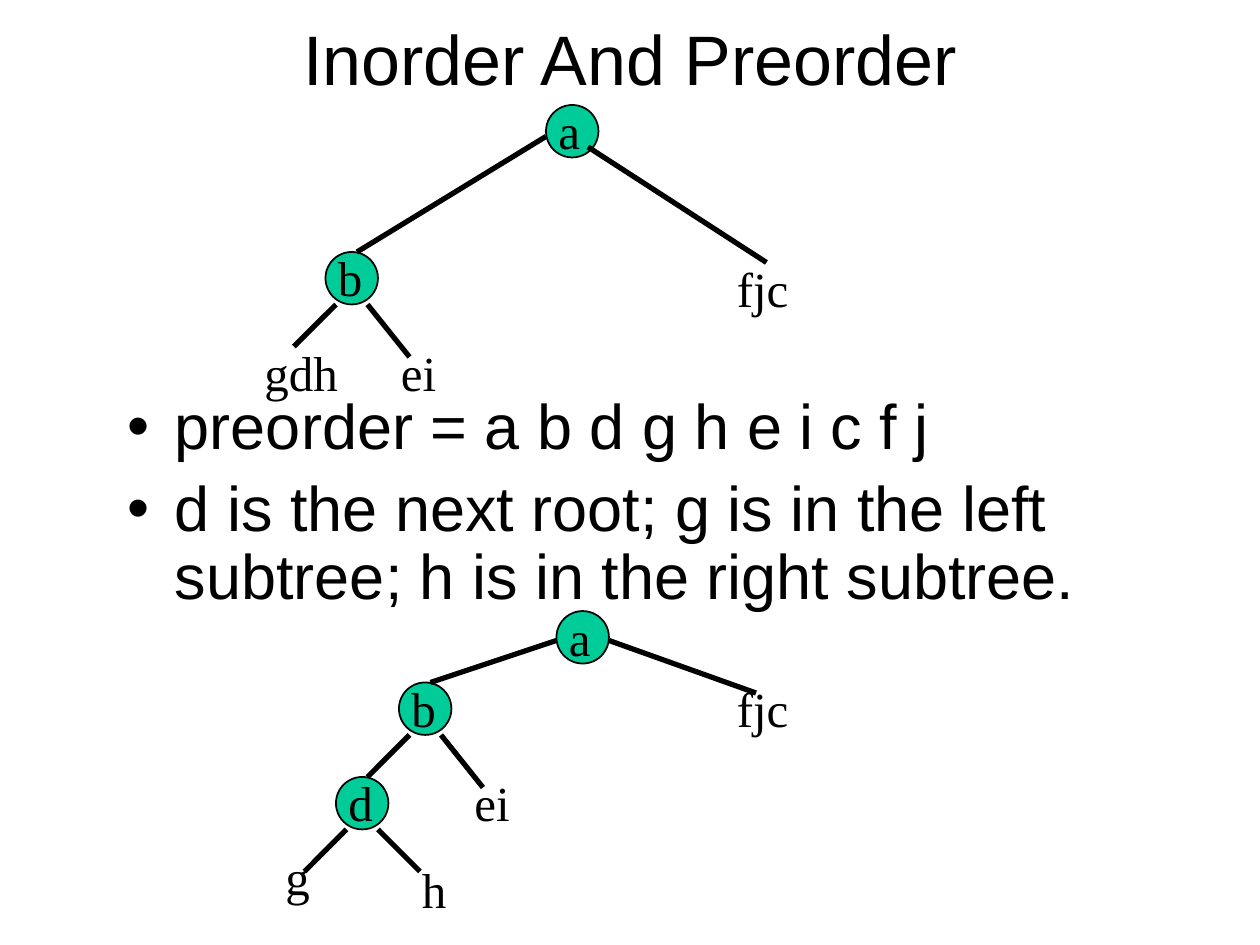
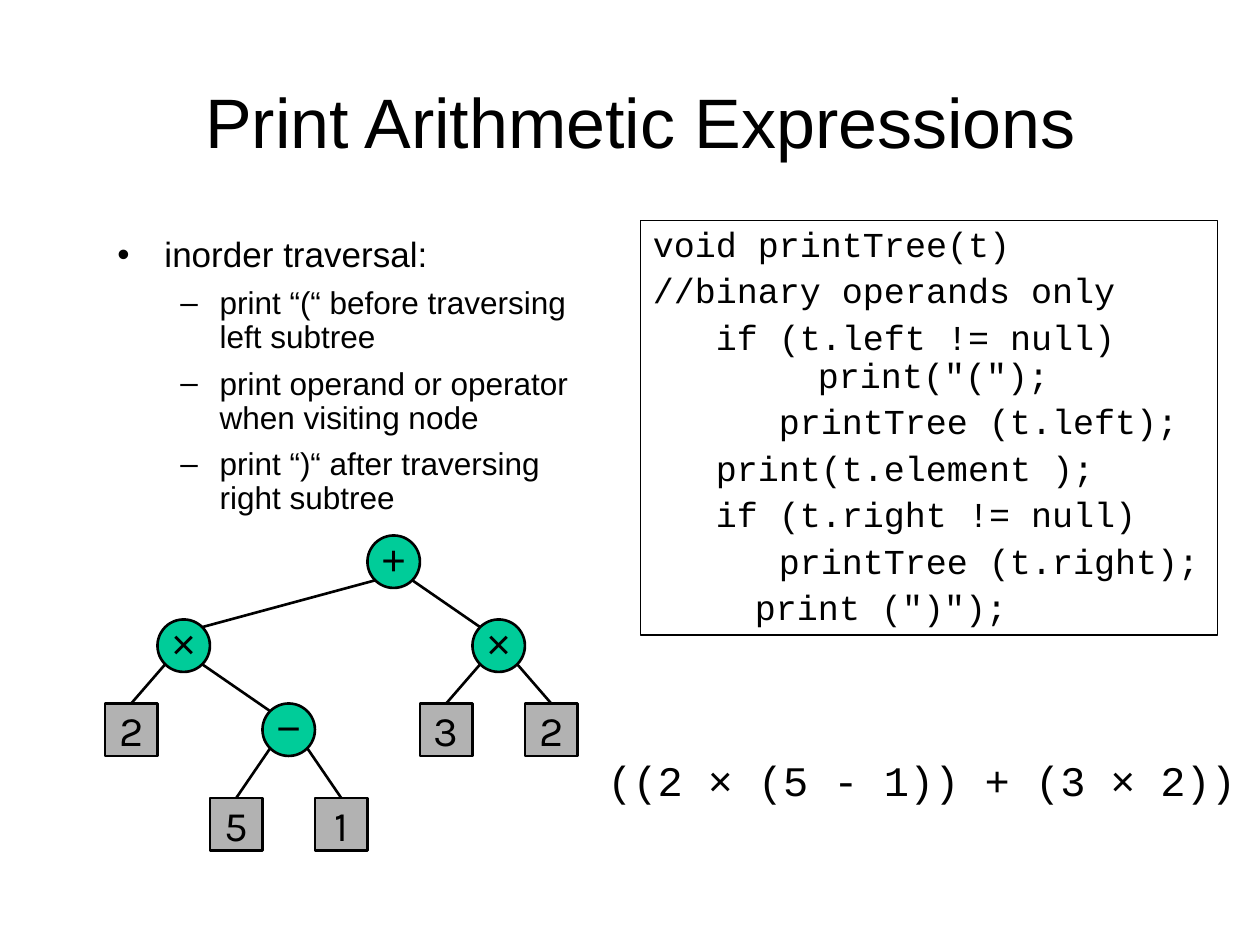
from lxml.etree import SubElement
from pptx import Presentation
from pptx.dml.color import RGBColor
from pptx.enum.shapes import MSO_CONNECTOR, MSO_SHAPE
from pptx.enum.text import MSO_ANCHOR, PP_ALIGN
from pptx.oxml.ns import qn
from pptx.util import Cm, Pt

COLORS = {"ink": "000000", "node": "00CC99", "leaf": "B2B2B2"}
SANS, SERIF, MONO, DIGIT = "Arial", "Times New Roman", "Courier New", "Karla"
GRID_CM = 2.54 / 12  # every tree sits on a grid of twelve steps to the inch
NODE_SIZE = 5
INSETS = (0.25, 0.13, 0.25, 0.13)

# Nodes and labels: text, column, row (and width for labels); edges: column, row, column, row
TRAVERSAL_TREES = [
    {
        "nodes": [("a", 52, 10), ("b", 31, 24)],
        "edges": [(52, 13, 34, 24), (56, 14, 73, 25), (32, 29, 28, 33), (35, 29, 39, 34)],
        "labels": [("gdh", 24, 32, 10), ("fjc", 69, 24, 17), ("ei", 37, 32, 8)],
    },
    {
        "nodes": [("a", 53, 58.2), ("b", 38, 65), ("d", 32, 74)],
        "edges": [(53, 61, 41, 65), (58, 61, 72, 66), (39, 70, 35, 74),
                  (42, 70, 46, 75), (33, 79, 29, 83), (36, 79, 40, 83)],
        "labels": [("g", 26, 80, 5), ("fjc", 69, 64, 17), ("ei", 44, 73, 8),
                   ("h", 39, 81.2, 6)],
    },
]
# Text and bullet level
TRAVERSAL_POINTS = [
    ("preorder = a b d g h e i c f j", 0),
    ("d is the next root; g is in the left subtree; h is in the right subtree.", 0),
]
PRINT_POINTS = [
    ("inorder traversal:", 0),
    ("print “(“ before traversing left subtree", 1),
    ("print operand or operator when visiting node", 1),
    ("print “)“ after traversing right subtree", 1),
]
# Lines of each code paragraph and indent level
CODE = [
    (["void printTree(t)"], 0),
    (["//binary operands only"], 0),
    (["if (t.left != null)", "\tprint(\"(\");"], 1),
    (["printTree (t.left);"], 2),
    (["print(t.element );"], 1),
    (["if (t.right != null)"], 1),
    (["printTree (t.right);"], 2),
    (["\tprint (\")\");"], 1),
]
# Name: text, column, row
OPERATORS = {
    "sum": ("+", 35, 51),
    "right product": ("×", 45, 59),
    "left product": ("×", 15, 59),
    "difference": ("−", 25, 67),
}
OPERANDS = {
    "factor 2": ("2", 10, 67),
    "five": ("5", 20, 76),
    "one": ("1", 30, 76),
    "three": ("3", 40, 67),
    "last 2": ("2", 50, 67),
}
CHILDREN = {
    "sum": ("left product", "right product"),
    "left product": ("factor 2", "difference"),
    "right product": ("three", "last 2"),
    "difference": ("five", "one"),
}
EXPRESSION = [("((2 ", MONO), ("×", SANS), (" (5 - 1)) + (3 ", MONO), ("×", SANS),
              (" 2))", MONO)]

BULLETS = [("•", 0.95, -0.95, 8), ("–", 2.06, -0.79, 7)]  # sign, margin, indent, space before
CODE_INDENTS = [(0, 0), (2.06, -0.79), (3.18, -0.64)]


def rgb(name):
    return RGBColor.from_string(COLORS[name])


def grid(*steps):
    return [Cm(step * GRID_CM) for step in steps]


def cm(*lengths):
    return [Cm(length) for length in lengths]


def add_run(paragraph, text, font_name, size):
    run = paragraph.add_run()
    run.text = text
    run.font.name, run.font.size = font_name, Pt(size)
    run.font.color.rgb = rgb("ink")


def set_frame(shape, wrap=True, anchor=MSO_ANCHOR.TOP, insets=INSETS):
    frame = shape.text_frame
    frame.word_wrap, frame.vertical_anchor = wrap, anchor
    frame.margin_left, frame.margin_top, frame.margin_right, frame.margin_bottom = cm(*insets)
    return frame


def add_paragraph(frame, is_first, space_before):
    if is_first:
        paragraph = frame.paragraphs[0]
    else:
        paragraph = frame.add_paragraph()
        paragraph.space_before = Pt(space_before)
    paragraph.line_spacing = 0.9
    paragraph.alignment = PP_ALIGN.LEFT
    return paragraph


def set_indent(paragraph, margin, indent):
    properties = paragraph._p.get_or_add_pPr()
    properties.set("marL", str(Cm(margin)))
    properties.set("indent", str(Cm(indent)))
    return properties


def add_text(shapes, box, runs, size, align=PP_ALIGN.LEFT, **frame_options):
    frame = set_frame(shapes.add_textbox(*box), **frame_options)
    paragraph = frame.paragraphs[0]
    paragraph.alignment = align
    for text, font_name in runs:
        add_run(paragraph, text, font_name, size)


def add_title(slide, text, box):
    add_text(slide.shapes, box, [(text, SANS)], 40, PP_ALIGN.CENTER, anchor=MSO_ANCHOR.MIDDLE)


def add_bullets(slide, points, box, sizes):
    frame = set_frame(slide.shapes.add_textbox(*box))
    for index, (text, level) in enumerate(points):
        sign, margin, indent, space_before = BULLETS[level]
        paragraph = add_paragraph(frame, index == 0, space_before)
        properties = set_indent(paragraph, margin, indent)
        SubElement(properties, qn("a:buFont"), typeface=SANS)
        SubElement(properties, qn("a:buChar"), char=sign)
        add_run(paragraph, text, SANS, sizes[level])


def add_box(shapes, kind, box, fill, line_width):
    shape = shapes.add_shape(kind, *box)
    shape.shadow.inherit = False
    if fill:
        shape.fill.solid()
        shape.fill.fore_color.rgb = rgb(fill)
    else:
        shape.fill.background()
    shape.line.color.rgb, shape.line.width = rgb("ink"), Pt(line_width)
    return shape


def add_edge(shapes, ends, width):
    line = shapes.add_connector(MSO_CONNECTOR.STRAIGHT, *grid(*ends))
    line.line.color.rgb, line.line.width = rgb("ink"), Pt(width)
    SubElement(line._element.spPr, qn("a:effectLst"))


def add_traversal_tree(slide, tree):
    shapes = slide.shapes.add_group_shape().shapes
    for _, column, row in tree["nodes"]:
        add_box(shapes, MSO_SHAPE.OVAL, grid(column, row, NODE_SIZE, NODE_SIZE), "node", 1)
    for ends in tree["edges"]:
        add_edge(shapes, ends, 3)
    node_labels = [(text, column, row - 1, 10) for text, column, row in tree["nodes"]]
    for text, column, row, width in node_labels + tree["labels"]:
        add_text(shapes, grid(column, row, width, 6.8), [(text, SERIF)], 28)


def add_expression_tree(slide):
    shapes = slide.shapes.add_group_shape().shapes
    styles = [(OPERATORS, MSO_SHAPE.OVAL, "node", SANS, (0, 0, 0, 0.13)),
              (OPERANDS, MSO_SHAPE.RECTANGLE, "leaf", DIGIT, INSETS)]
    for nodes, kind, fill, font_name, insets in styles:
        for text, column, row in nodes.values():
            box = grid(column, row, NODE_SIZE, NODE_SIZE)
            shape = add_box(shapes, kind, box, fill, 1.5)
            frame = set_frame(shape, False, MSO_ANCHOR.MIDDLE, insets)
            frame.paragraphs[0].alignment = PP_ALIGN.CENTER
            add_run(frame.paragraphs[0], text, font_name, 24)

    radius = NODE_SIZE / 2
    diagonal = radius * 0.71  # where a 45 degree ray leaves the circle
    for parent, children in CHILDREN.items():
        _, column, row = OPERATORS[parent]
        for child, side in zip(children, (-1, 1)):
            start = (column + radius + side * diagonal, row + radius + diagonal)
            _, child_column, child_row = (OPERATORS | OPERANDS)[child]
            end = (child_column + radius, child_row)
            if child in OPERATORS:
                end = (end[0] - side * diagonal, child_row + radius - diagonal)
            add_edge(shapes, start + end, 1.5)


def add_code(slide):
    box = add_box(slide.shapes, MSO_SHAPE.RECTANGLE, cm(12.91, 4.45, 11.64, 8.35), None, 0.75)
    frame = set_frame(box)
    for index, (lines, level) in enumerate(CODE):
        paragraph = add_paragraph(frame, index == 0, 5)
        properties = set_indent(paragraph, *CODE_INDENTS[level])
        if any("\t" in line for line in lines):
            tabs = SubElement(properties, qn("a:tabLst"))
            for stop in (0, 2.49):
                SubElement(tabs, qn("a:tab"), pos=str(Cm(stop)), algn="l")
        for number, line in enumerate(lines):
            if number:
                paragraph.add_line_break()
            add_run(paragraph, line, MONO, 20)


def main():
    presentation = Presentation()
    presentation.slide_width, presentation.slide_height = cm(25.4, 19.05)
    blank = presentation.slide_layouts[6]

    slide = presentation.slides.add_slide(blank)
    add_title(slide, "Inorder And Preorder", grid(9, 2, 102, 7))
    add_bullets(slide, TRAVERSAL_POINTS, grid(11, 37, 102, 24), [36])
    for tree in TRAVERSAL_TREES:
        add_traversal_tree(slide, tree)

    slide = presentation.slides.add_slide(blank)
    add_title(slide, "Print Arithmetic Expressions", grid(8, 4, 106, 15))
    add_bullets(slide, PRINT_POINTS, grid(10, 22, 48, 28), [20, 18])
    add_code(slide)
    add_expression_tree(slide)
    add_text(slide.shapes, cm(11.81, 15.09, 13.54, 1.27), EXPRESSION, 24,
             PP_ALIGN.CENTER, wrap=False)

    presentation.save("out.pptx")


if __name__ == "__main__":
    main()
